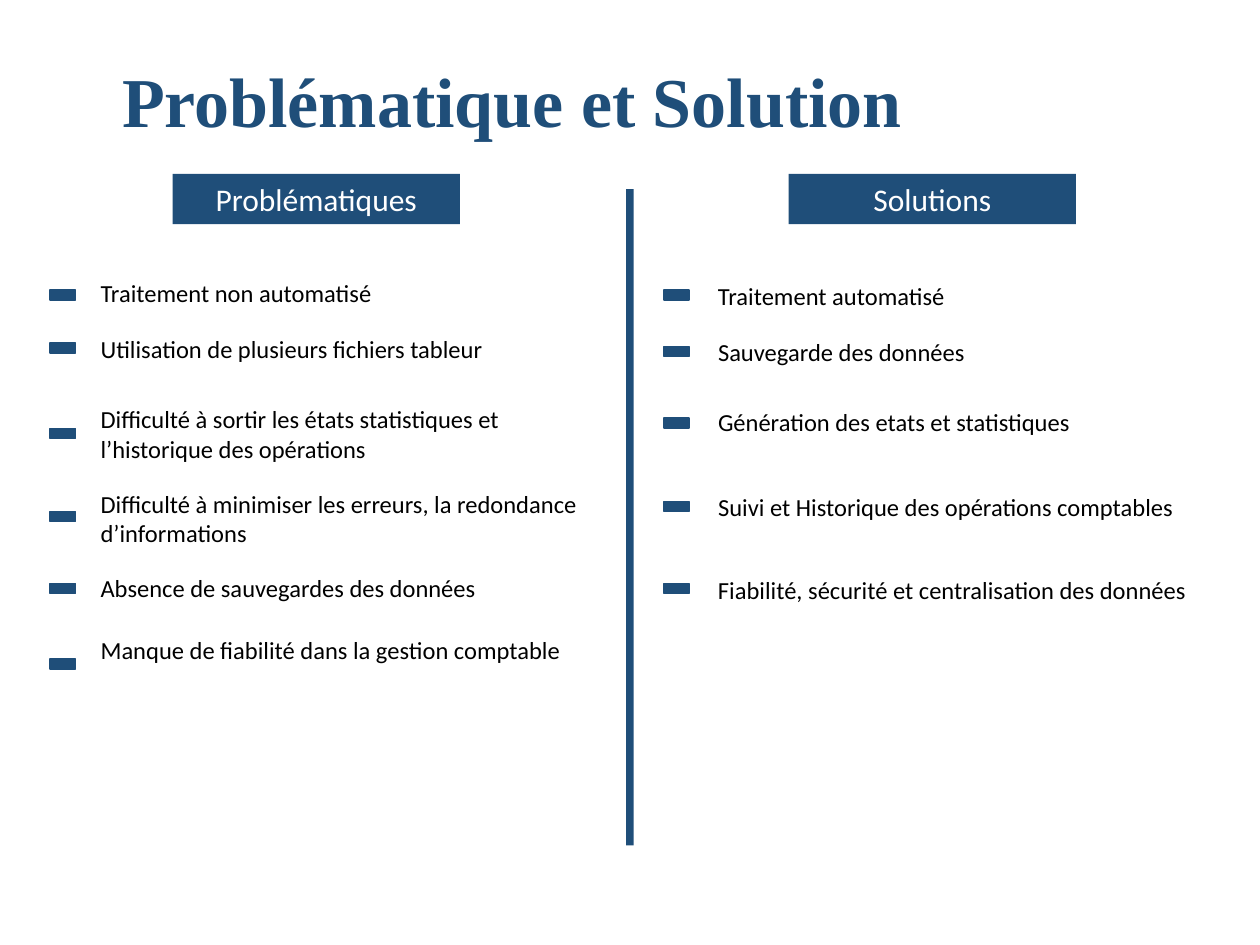
import pptx
import pptx.dml.color
import pptx.enum.shapes
import pptx.enum.text
import pptx.util

PX = 9144  # EMU per px, 100 px to the inch


class Theme:
    navy = pptx.dml.color.RGBColor(0x1F, 0x4E, 0x79)
    white = pptx.dml.color.RGBColor(0xFF, 0xFF, 0xFF)
    black = pptx.dml.color.RGBColor(0, 0, 0)
    title_font, body_font = "Times New Roman", "Calibri"
    title_size, heading_size, item_size = 40, 18, 14


prs = pptx.Presentation()
prs.slide_width, prs.slide_height = 1000 * PX, 750 * PX
slide = prs.slides.add_slide(prs.slide_layouts[5])


def add_bar(left, top, width, height, outlined=False):
    bar = slide.shapes.add_shape(
        pptx.enum.shapes.MSO_SHAPE.RECTANGLE,
        left * PX, top * PX, width * PX, height * PX)
    bar.shadow.inherit = False
    bar.fill.solid()
    bar.fill.fore_color.rgb = Theme.navy
    if outlined:
        bar.line.color.rgb = Theme.navy
        bar.line.width = pptx.util.Pt(1)
    else:
        bar.line.fill.background()
    return bar


def write(shape, text, font, size, color, align, spacing=1.0, bold=False):
    frame = shape.text_frame
    frame.text = text
    frame.word_wrap = True
    frame.auto_size = pptx.enum.text.MSO_AUTO_SIZE.NONE
    frame.vertical_anchor = pptx.enum.text.MSO_ANCHOR.TOP
    line = frame.paragraphs[0]
    line.alignment = align
    line.line_spacing = spacing
    style = line.runs[0].font
    style.name, style.size, style.bold = font, pptx.util.Pt(size), bold
    style.color.rgb = color


LEFT = pptx.enum.text.PP_ALIGN.LEFT
CENTER = pptx.enum.text.PP_ALIGN.CENTER

# Title
title = slide.shapes.title
title.left, title.top, title.width, title.height = 87 * PX, 41 * PX, 793 * PX, 77 * PX
write(title, "Problématique et Solution", Theme.title_font, Theme.title_size,
      Theme.navy, LEFT, bold=True)

# Divider between the two columns
add_bar(497, 150, 6, 521)

# Columns: heading, heading left, dash left, text left, line spacing,
# items as (text, text top, width, height, dash top)
columns = [
    ("Problématiques", 137, 40, 70, 1.0, [
        ("Traitement non automatisé", 216, 420, 34, 230),
        ("Utilisation de plusieurs fichiers tableur", 260, 420, 34, 272),
        ("Difficulté à sortir les états statistiques et l’historique des opérations",
         316, 420, 57, 340),
        ("Difficulté à minimiser les erreurs, la redondance d’informations",
         383, 420, 57, 406),
        ("Absence de sauvegardes des données", 450, 413, 34, 463),
        ("Manque de fiabilité dans la gestion comptable", 499, 406, 34, 523),
    ]),
    ("Solutions", 626, 527, 560, 1.1, [
        ("Traitement automatisé", 216, 407, 36, 230),
        ("Sauvegarde des données", 260, 242, 36, 275),
        ("Génération des etats et statistiques", 316, 325, 36, 332),
        ("Suivi et Historique des opérations comptables", 383, 415, 36, 398),
        ("Fiabilité, sécurité et centralisation des données", 449, 396, 35, 463),
    ]),
]

for heading, heading_left, dash_left, text_left, spacing, items in columns:
    banner = add_bar(heading_left, 138, 228, 40)
    write(banner, heading, Theme.body_font, Theme.heading_size, Theme.white, CENTER)
    for text, top, width, height, dash_top in items:
        add_bar(dash_left, dash_top, 20, 8, outlined=True)
        item = slide.shapes.add_textbox(
            text_left * PX, top * PX, width * PX, height * PX)
        write(item, text, Theme.body_font, Theme.item_size, Theme.black, LEFT, spacing)

prs.save("out.pptx")
